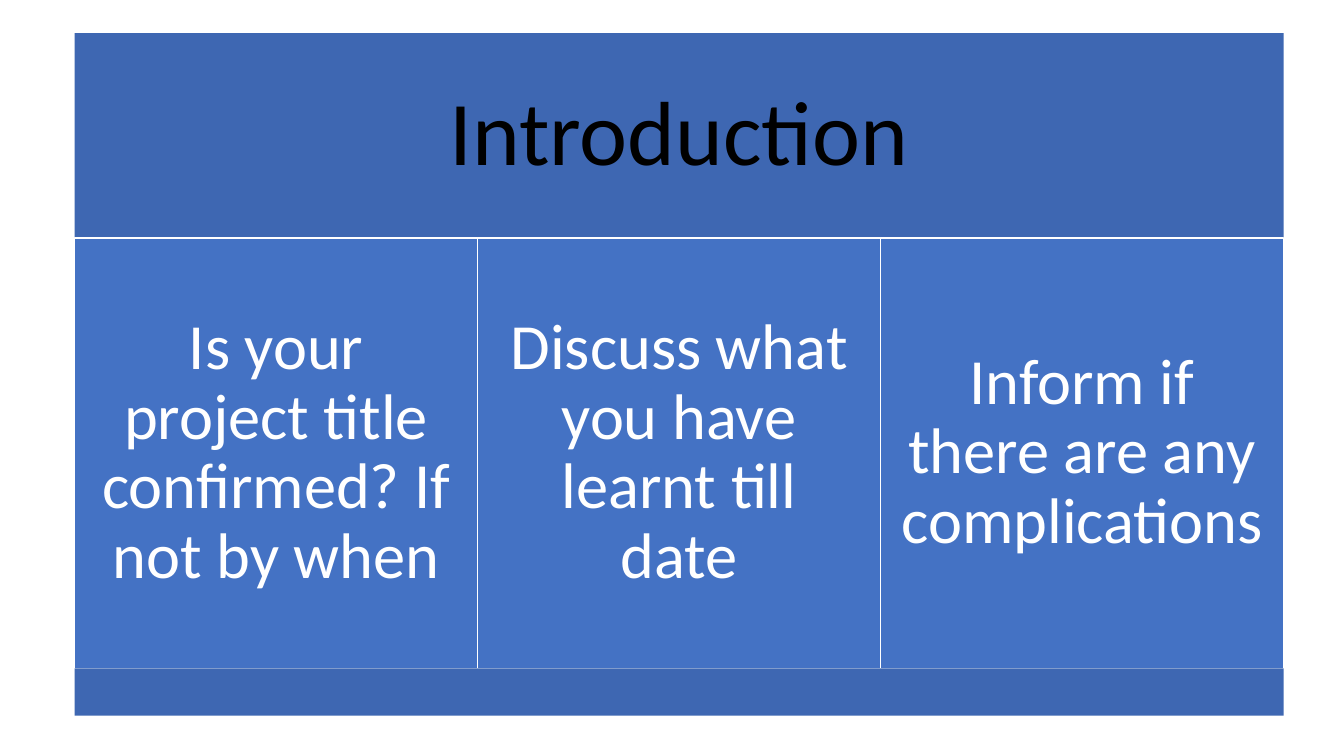
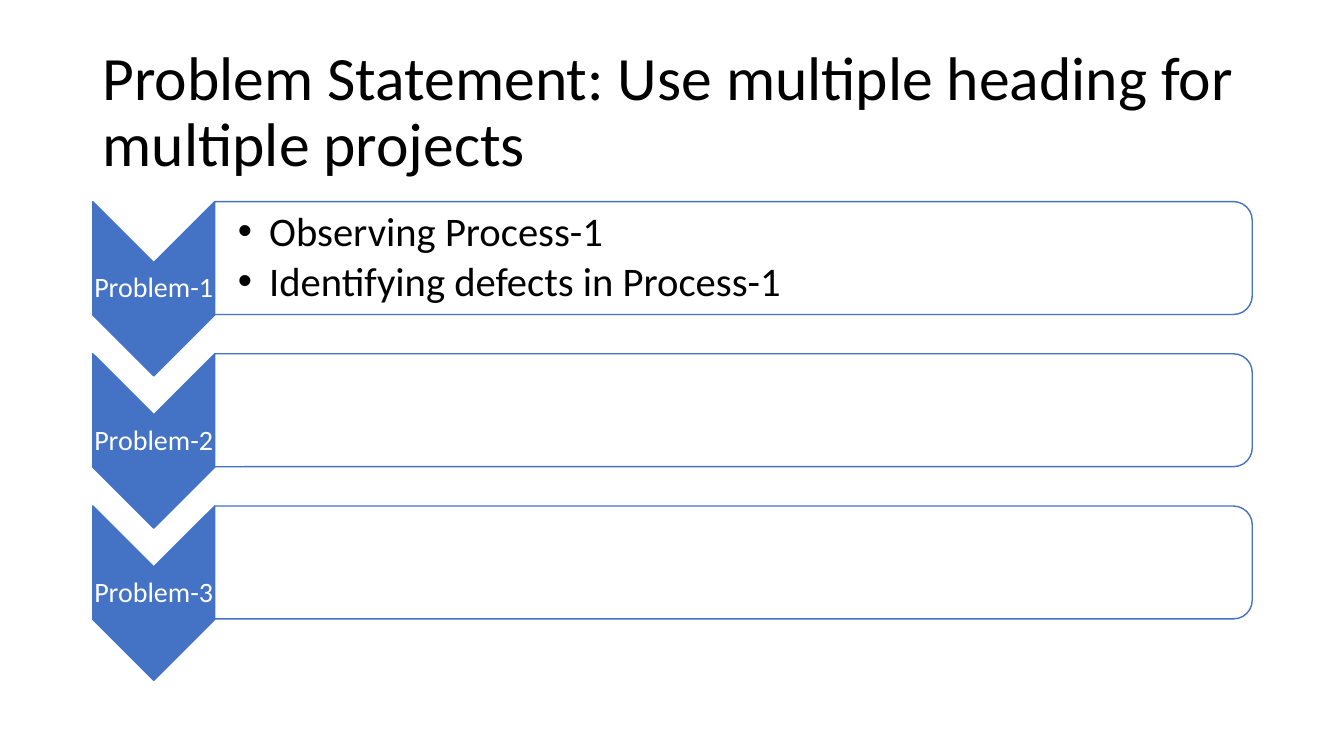
import pptx
import pptx.util
import pptx.dml.color
import pptx.enum.shapes
import pptx.enum.text
import lxml.etree
from pptx.util import Inches

FONT = "Calibri"
BLACK, WHITE = "000000", "FFFFFF"
BLUE, DARK_BLUE = "4472C4", "3E67B2"
SHAPES = pptx.enum.shapes.MSO_SHAPE
ALIGN = pptx.enum.text.PP_ALIGN


def color(hex_string):
    return pptx.dml.color.RGBColor.from_string(hex_string)


def add_box(slide, kind, left, top, width, height, fill, line=None):
    shape = slide.shapes.add_shape(
        kind, Inches(left), Inches(top), Inches(width), Inches(height))
    shape.shadow.inherit = False
    shape.fill.solid()
    shape.fill.fore_color.rgb = color(fill)
    if line:
        shape.line.color.rgb = color(line)
        shape.line.width = pptx.util.Pt(1)
    else:
        shape.line.fill.background()
    return shape


def add_turned_box(slide, kind, left, top, width, height, fill, line):
    """Add a shape turned by 90 degrees that fills the given box."""
    shift = (width - height) / 2
    shape = add_box(slide, kind, left + shift, top - shift, height, width, fill, line)
    shape.rotation = 90
    return shape


def add_text_box(slide, left, top, width, height):
    return slide.shapes.add_textbox(
        Inches(left), Inches(top), Inches(width), Inches(height))


def add_bullet(paragraph, indent):
    properties = paragraph._p.get_or_add_pPr()
    properties.set("marL", str(Inches(indent)))
    properties.set("indent", str(-Inches(indent)))
    namespace = "{http://schemas.openxmlformats.org/drawingml/2006/main}"
    lxml.etree.SubElement(properties, namespace + "buFont", typeface="Arial")
    lxml.etree.SubElement(properties, namespace + "buChar", char="•")


def set_text(shape, lines, size, ink, align=ALIGN.CENTER, margins=(0.1, 0.05, 0.1, 0.05),
             bullet_indent=None, space_after=0):
    frame = shape.text_frame
    frame.word_wrap = True
    frame.vertical_anchor = pptx.enum.text.MSO_ANCHOR.MIDDLE
    (frame.margin_left, frame.margin_top,
     frame.margin_right, frame.margin_bottom) = map(Inches, margins)
    frame.text = "\n".join(lines)
    for paragraph in frame.paragraphs:
        paragraph.alignment = align
        paragraph.line_spacing = 0.9
        paragraph.space_after = pptx.util.Pt(space_after)
        if bullet_indent:
            add_bullet(paragraph, bullet_indent)
        for run in paragraph.runs:
            run.font.name = FONT
            run.font.size = pptx.util.Pt(size)
            run.font.color.rgb = color(ink)


def add_column_panel(slide, left, top, width, height, title, topics):
    header_height, footer_height = 2.03, 0.47
    body_height = height - header_height - footer_height
    # Header band
    header = add_box(slide, SHAPES.RECTANGLE, left, top, width, header_height, DARK_BLUE)
    set_text(header, [title], 65, BLACK, margins=[0.27] * 4)
    # Topic columns
    column_width = width / len(topics)
    for index, topic in enumerate(topics):
        column = add_box(slide, SHAPES.RECTANGLE, left + index * column_width,
                         top + header_height, column_width, body_height, BLUE, WHITE)
        set_text(column, [topic], 46, WHITE, margins=[0.19] * 4)
    # Footer band
    add_box(slide, SHAPES.RECTANGLE, left, top + height - footer_height,
            width, footer_height, DARK_BLUE)


def add_problem_row(slide, left, top, width, label, points):
    chevron_width, chevron_height, bar_height = 1.21, 1.73, 1.12
    # Downward chevron with its label
    add_turned_box(slide, SHAPES.CHEVRON, left, top, chevron_width, chevron_height,
                   BLUE, BLUE)
    tip = chevron_width / 2
    label_box = add_text_box(slide, left, top + tip, chevron_width, chevron_height - 2 * tip)
    set_text(label_box, [label], 20, WHITE, margins=[0.01] * 4)
    # Bar rounded on its right side
    bar_left, bar_width = left + chevron_width, width - chevron_width
    add_turned_box(slide, SHAPES.ROUND_2_SAME_RECTANGLE, bar_left, top,
                   bar_width, bar_height, WHITE, BLUE)
    if points:
        inset = 0.05
        points_box = add_text_box(slide, bar_left, top + inset,
                                  bar_width - inset, bar_height - 2 * inset)
        set_text(points_box, points, 29, BLACK, ALIGN.LEFT, (0.23, 0.02, 0.02, 0.02),
                 bullet_indent=0.31, space_after=4.35)


def add_problem_list(slide, left, top, width, problems):
    row_pitch = 1.51
    for index, (label, points) in enumerate(problems):
        add_problem_row(slide, left, top + index * row_pitch, width, label, points)


def main():
    presentation = pptx.Presentation()
    presentation.slide_width = Inches(13.33)
    presentation.slide_height = Inches(7.5)
    blank = presentation.slide_layouts[6]

    # Introduction
    slide = presentation.slides.add_slide(blank)
    add_column_panel(slide, 0.74, 0.33, 11.99, 6.77, "Introduction", [
        "Is your project title confirmed? If not by when",
        "Discuss what you have learnt till date",
        "Inform if there are any complications",
    ])

    # Problem statement
    slide = presentation.slides.add_slide(blank)
    title = add_text_box(slide, 0.92, 0.4, 11.5, 1.45)
    set_text(title, ["Problem Statement: Use multiple heading for multiple projects"],
             44, BLACK, ALIGN.LEFT)
    add_problem_list(slide, 0.92, 2, 11.5, [
        ("Problem-1", ["Observing Process-1", "Identifying defects in Process-1"]),
        ("Problem-2", []),
        ("Problem-3", []),
    ])

    presentation.save("out.pptx")


if __name__ == "__main__":
    main()
